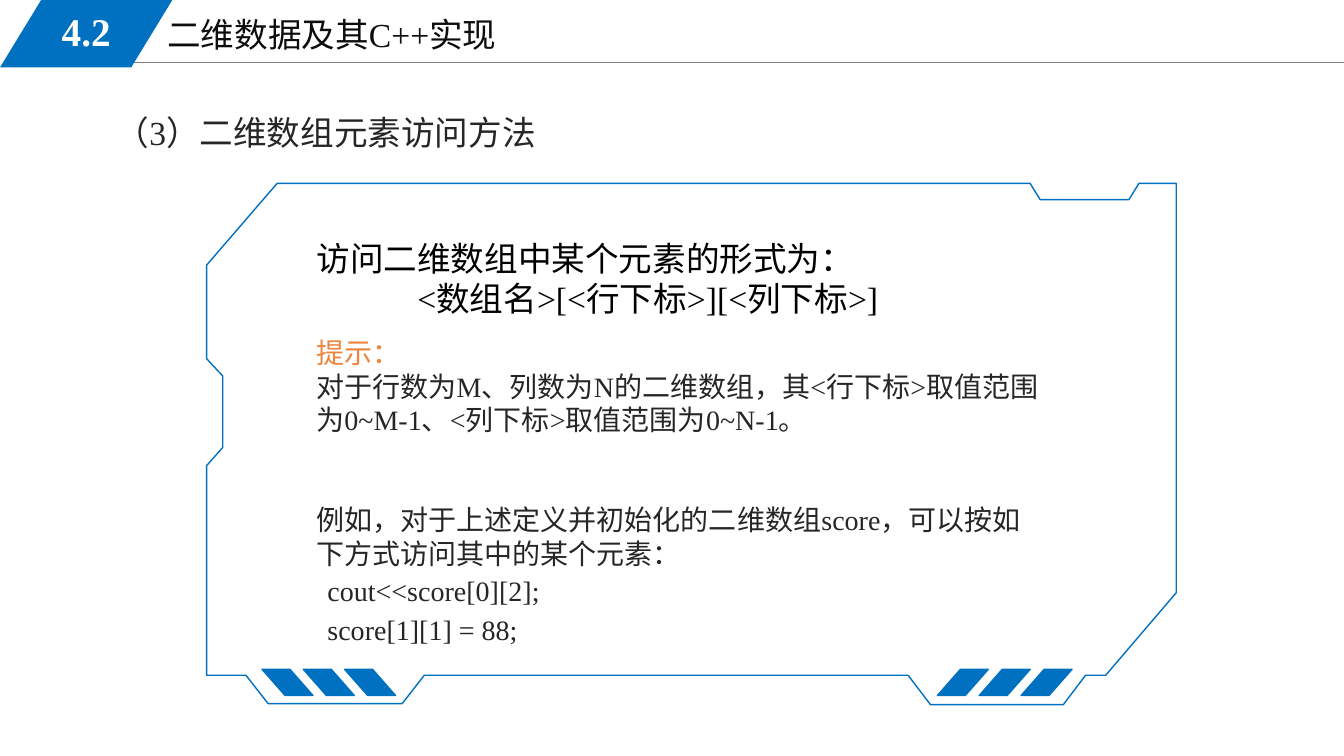
"""Build the slide on accessing elements of a two-dimensional array."""
from dataclasses import dataclass

from lxml import etree
from pptx import Presentation
from pptx import util as u
from pptx.dml.color import RGBColor
from pptx.enum import shapes, text
from pptx.oxml.ns import qn

COLORS = {
    "blue": "0070C0", "rule": "808080", "title": "0D0D0D", "white": "FFFFFF",
    "body": "262626", "black": "000000", "tip": "EE833B",
}
FONT = "Times New Roman"
FRAME = [
    (664.6, 503.3), (759.6, 503.3), (775.4, 482.4), (789.8, 482.4),
    (840.2, 423.4), (840.2, 131), (813.6, 131), (806.4, 142.6),
    (743, 142.6), (735.8, 131), (198, 131), (147.6, 189.4),
    (147.6, 256.3), (159.1, 268.6), (159.1, 319.7), (147.6, 332.6),
    (147.6, 482.4), (175.7, 482.4), (191.5, 502.6), (287.3, 502.6),
    (303.1, 482.4), (648.7, 482.4),
]


@dataclass
class Line:
    """One paragraph with its colour and left indent."""
    words: str
    color: str = "body"
    indent: float = 0


@dataclass
class Block:
    """A text area with its box in points and its paragraphs."""
    box: tuple[float, float, float, float]
    size: float
    lines: list[Line]
    bold: bool = False
    align: text.PP_ALIGN = text.PP_ALIGN.LEFT
    anchor: text.MSO_ANCHOR = text.MSO_ANCHOR.TOP


@dataclass
class Stripes:
    """A row of three slanted bars."""
    left: float
    pitch: float
    flipped: bool


TITLE = Block((112.3, 6.5, 408.2, 36.7), 24, [Line("二维数据及其C++实现", "title")])
ACCESS = Block((218.9, 166.3, 542.9, 90), 24, [
    Line("访问二维数组中某个元素的形式为：", "black"),
    Line("<数组名>[<行下标>][<列下标>]", "black", 72),
])
BLOCKS = [
    Block((18, 1.4, 87.1, 41.8), 28, [Line("4.2", "white")], True,
          text.PP_ALIGN.CENTER, text.MSO_ANCHOR.MIDDLE),
    Block((75.6, 76.3, 709.9, 36), 24, [Line("（3）二维数组元素访问方法")]),
    Block((218.9, 236.2, 542.9, 104.4), 20, [
        Line("提示：", "tip"),
        Line("对于行数为M、列数为N的二维数组，其<行下标>取值范围为0~M-1、"
             "<列下标>取值范围为0~N-1。"),
    ]),
    Block((218.9, 355.7, 533.5, 55.4), 20, [
        Line("例如，对于上述定义并初始化的二维数组score，可以按如下方式访问其中的某个元素："),
    ]),
    Block((226.8, 406.1, 480.2, 31.7), 20, [Line("cout<<score[0][2];")]),
    Block((226.8, 434.2, 159.8, 31.7), 20, [Line("score[1][1] = 88;")]),
]
STRIPES = [Stripes(669.6, 29.9, False), Stripes(187.2, 29.5, True)]


def rgb(name: str) -> RGBColor:
    """Return the named colour."""
    return RGBColor.from_string(COLORS[name])


def apply(target: object, values: dict) -> None:
    """Set every attribute in values on target."""
    for name, value in values.items():
        setattr(target, name, value)


def write(sp, block: Block) -> None:
    """Place a text shape and fill it with the block's paragraphs."""
    apply(sp, dict(zip(("left", "top", "width", "height"), map(u.Pt, block.box))))
    tf = sp.text_frame
    apply(tf, {
        "word_wrap": True, "auto_size": text.MSO_AUTO_SIZE.NONE,
        "vertical_anchor": block.anchor,
        "margin_left": u.Pt(7.2), "margin_right": u.Pt(7.2),
        "margin_top": u.Pt(3.6), "margin_bottom": u.Pt(3.6),
    })
    for i, line in enumerate(block.lines):
        p = tf.add_paragraph() if i else tf.paragraphs[0]
        pPr = p._p.get_or_add_pPr()
        pPr.set("marL", str(u.Pt(line.indent)))
        pPr.set("indent", "0")
        etree.SubElement(pPr, qn("a:buNone"))
        apply(p, {"alignment": block.align, "space_before": u.Pt(0),
                  "space_after": u.Pt(0), "line_spacing": 1.0})
        r = p.add_run()
        r.text = line.words
        apply(r.font, {"name": FONT, "size": u.Pt(block.size), "bold": block.bold})
        r.font.color.rgb = rgb(line.color)


def add_slant(s, box: tuple[float, float, float, float], adjust: float,
              outlined: bool = True, flipped: bool = False) -> None:
    """Add a blue parallelogram."""
    sp = s.shapes.add_shape(shapes.MSO_SHAPE.PARALLELOGRAM, *map(u.Pt, box))
    sp.adjustments[0] = adjust
    sp.shadow.inherit = False
    sp.fill.solid()
    sp.fill.fore_color.rgb = rgb("blue")
    if outlined:
        outline(sp)
    else:
        sp.line.fill.background()
    if flipped:
        sp.element.spPr.find(qn("a:xfrm")).set("flipH", "1")


def outline(sp, color: str = "blue", width: float = 1) -> None:
    """Give a shape or connector a solid line."""
    sp.line.color.rgb = rgb(color)
    sp.line.width = u.Pt(width)


def add_rule(s) -> None:
    """Add the line under the title."""
    rule = s.shapes.add_connector(shapes.MSO_CONNECTOR.STRAIGHT,
                                  *map(u.Pt, (81.4, 44.6, 960, 44.6)))
    outline(rule, "rule", 0.75)
    etree.SubElement(rule.element.spPr, qn("a:effectLst"))


def add_frame(s) -> None:
    """Add the notched outline around the text."""
    points = [(u.Pt(x), u.Pt(y)) for x, y in FRAME]
    builder = s.shapes.build_freeform(*points[0])
    builder.add_line_segments(points[1:], close=True)
    sp = builder.convert_to_shape()
    sp.shadow.inherit = False
    sp.fill.background()
    outline(sp)


def main() -> None:
    """Build and save the slide."""
    prs = Presentation()
    apply(prs, {"slide_width": u.Pt(960), "slide_height": u.Pt(540)})
    s = prs.slides.add_slide(prs.slide_layouts[1])
    write(s.shapes.title, TITLE)
    write(s.placeholders[1], ACCESS)
    add_rule(s)
    add_slant(s, (0, 0, 123.1, 48.2), 0.61, outlined=False)
    add_frame(s)
    for row in STRIPES:
        for i in range(3):
            box = (row.left + i * row.pitch, 478.1, 36.4, 18.7)
            add_slant(s, box, 0.88, flipped=row.flipped)
    for block in BLOCKS:
        write(s.shapes.add_textbox(0, 0, 0, 0), block)
    prs.save("out.pptx")


if __name__ == "__main__":
    main()
